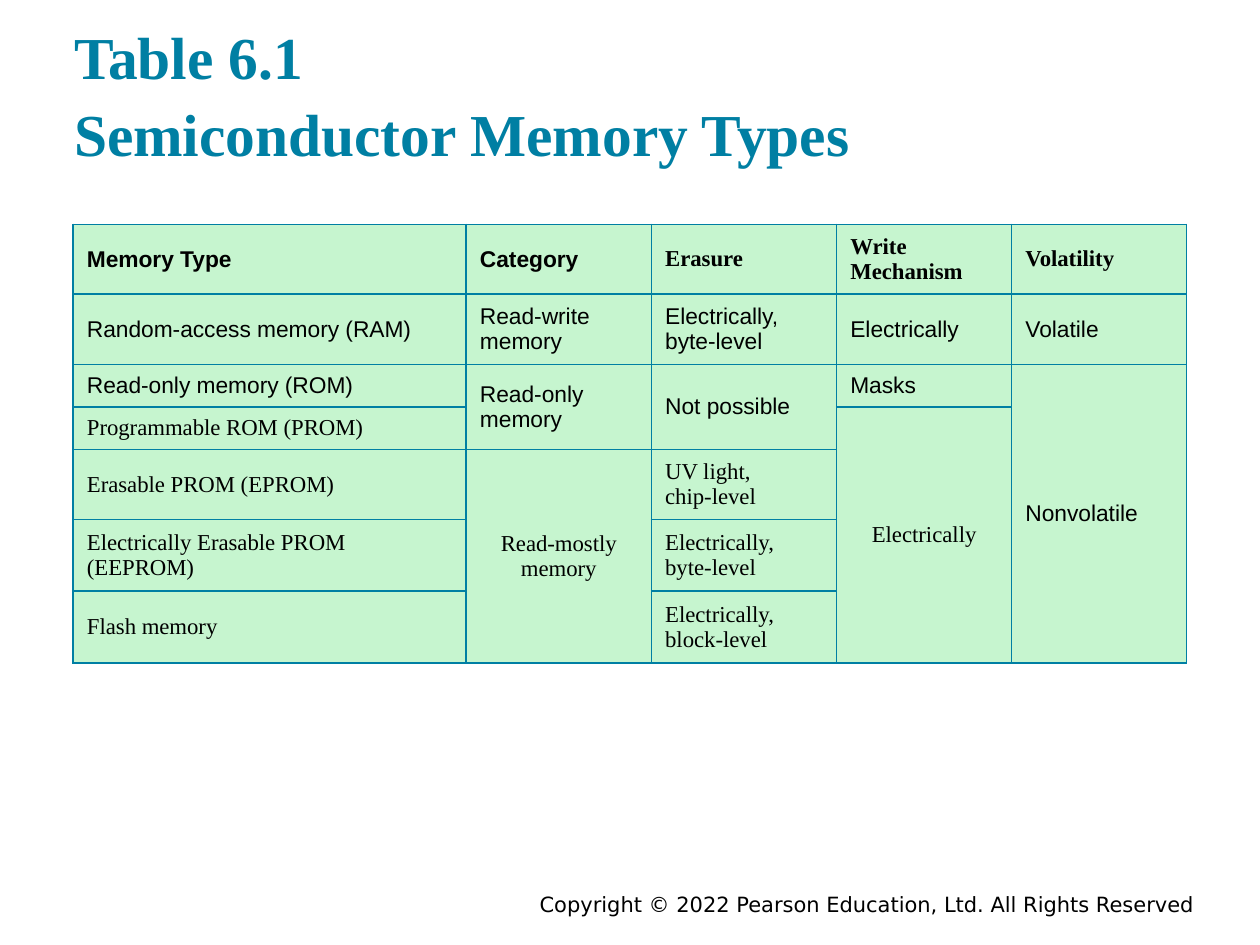
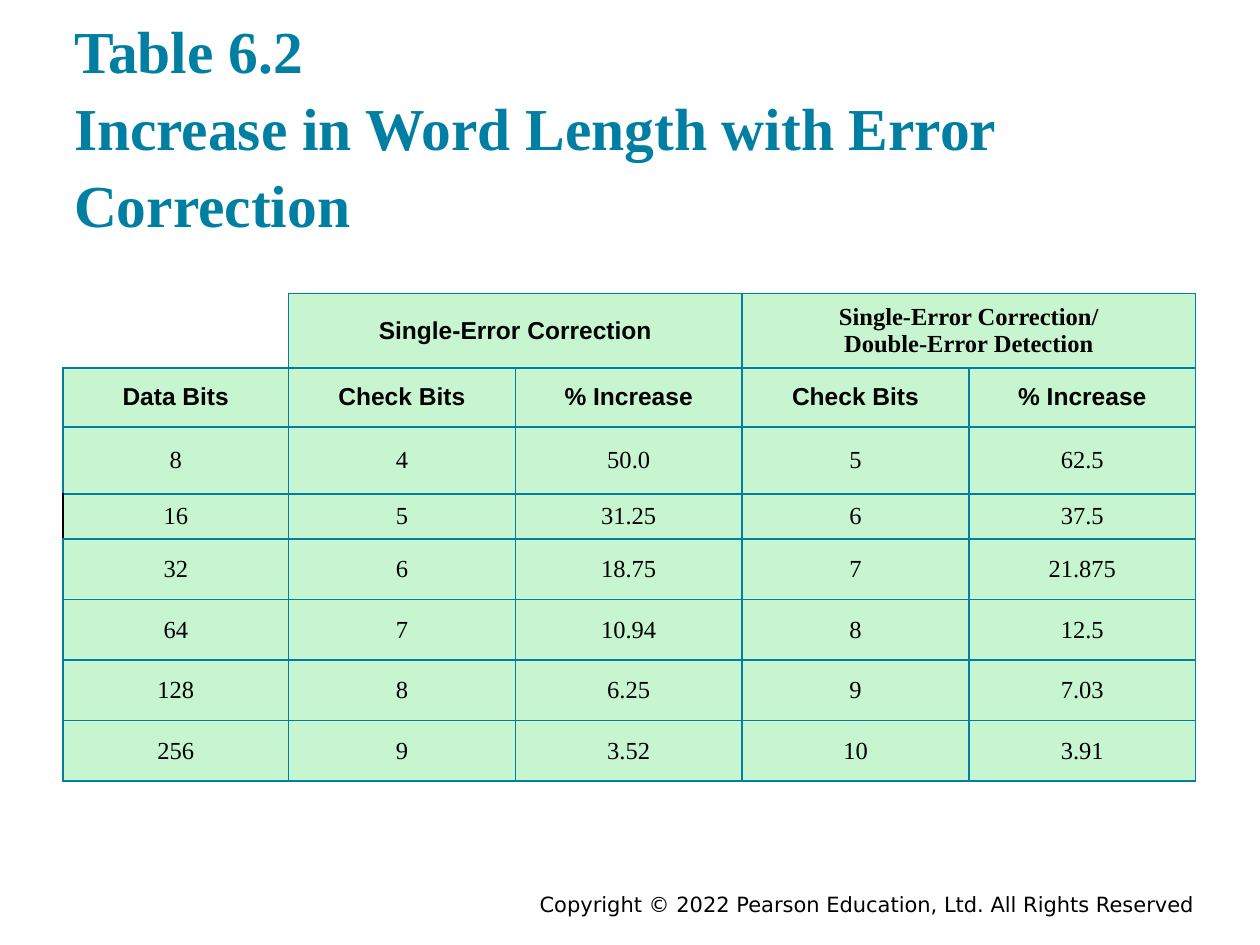
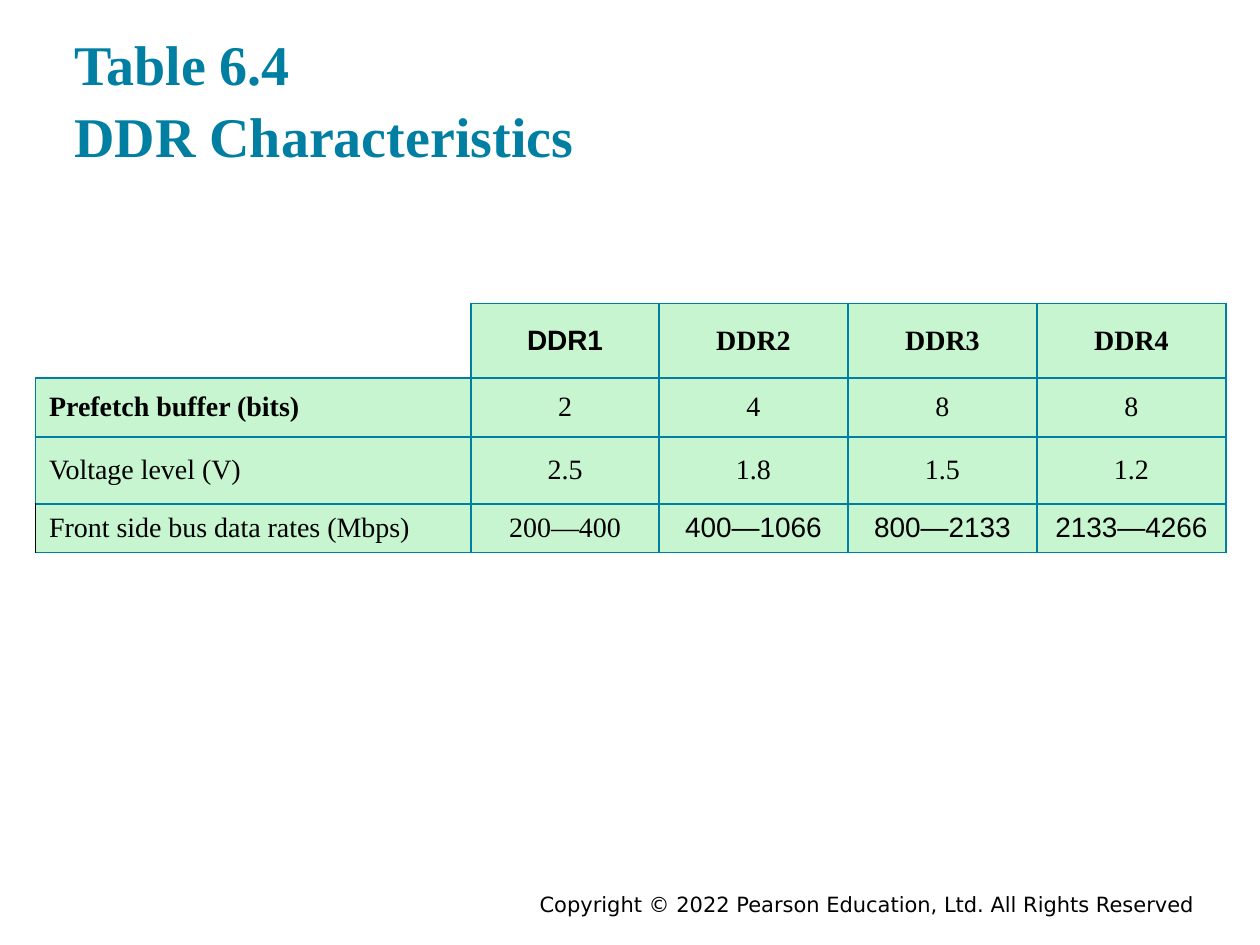
from lxml.etree import SubElement
from pptx import Presentation
from pptx.dml.color import RGBColor
from pptx.enum.text import MSO_ANCHOR, PP_ALIGN
from pptx.oxml.ns import qn
from pptx.util import Inches, Pt

TEAL, GREEN, BLACK = "007FA3", "C6F5CF", "000000"
SERIF, SANS, FOOTER_FONT = "Times New Roman", "Arial", "DejaVu Sans"
COPYRIGHT = "Copyright © 2022 Pearson Education, Ltd. All Rights Reserved"

MEMORY_TYPES = [
    ["Memory Type", "Category", "Erasure", "Write\nMechanism", "Volatility"],
    ["Random-access memory (RAM)", "Read-write\nmemory", "Electrically,\nbyte-level",
     "Electrically", "Volatile"],
    ["Read-only memory (ROM)", "Read-only\nmemory", "Not possible", "Masks", "Nonvolatile"],
    ["Programmable ROM (PROM)", None, None, "Electrically", None],
    ["Erasable PROM (EPROM)", "Read-mostly\nmemory", "UV light,\nchip-level", None, None],
    ["Electrically Erasable PROM\n(EEPROM)", None, "Electrically,\nbyte-level", None, None],
    ["Flash memory", None, "Electrically,\nblock-level", None, None],
]
WORD_LENGTHS = [
    ["", "Single-Error Correction", None,
     "Single-Error Correction/\nDouble-Error Detection", None],
    ["Data Bits", "Check Bits", "% Increase", "Check Bits", "% Increase"],
    ["8", "4", "50.0", "5", "62.5"],
    ["16", "5", "31.25", "6", "37.5"],
    ["32", "6", "18.75", "7", "21.875"],
    ["64", "7", "10.94", "8", "12.5"],
    ["128", "8", "6.25", "9", "7.03"],
    ["256", "9", "3.52", "10", "3.91"],
]
DDR = [
    ["", "DDR1", "DDR2", "DDR3", "DDR4"],
    ["Prefetch buffer (bits)", "2", "4", "8", "8"],
    ["Voltage level (V)", "2.5", "1.8", "1.5", "1.2"],
    ["Front side bus data rates (Mbps)", "200—400", "400—1066", "800—2133", "2133—4266"],
]


def rgb(value):
    """Turn a hex string into a colour."""
    return RGBColor.from_string(value)


def style(p, name, size, color, bold=False, align=PP_ALIGN.LEFT):
    """Set the font and alignment of a paragraph."""
    p.alignment = align
    p.font.name, p.font.size, p.font.bold = name, Pt(size), bold
    p.font.color.rgb = rgb(color)


def add_text(s, box, text, margins, anchor):
    """Add a wrapped text box and return its paragraph."""
    tf = s.shapes.add_textbox(*map(Inches, box)).text_frame
    tf.word_wrap = True
    tf.vertical_anchor = anchor
    tf.margin_left = tf.margin_right = Inches(margins[0])
    tf.margin_top = tf.margin_bottom = Inches(margins[1])
    p = tf.paragraphs[0]
    p.text = text
    return p


def add_slide(prs, title, width=9, height=1.22, size=34):
    """Add a slide with its copyright footer and title."""
    s = prs.slides.add_slide(prs.slide_layouts[6])
    p = add_text(s, (1.75, 7.03, 7.83, 0.22), COPYRIGHT, (0.1, 0.05), MSO_ANCHOR.TOP)
    style(p, FOOTER_FONT, 12, BLACK, align=PP_ALIGN.RIGHT)
    p = add_text(s, (0.49, 0.22, width, height), title, (0.1, 0.1), MSO_ANCHOR.BOTTOM)
    p.line_spacing = 1.08
    style(p, SERIF, size, TEAL, bold=True)
    return s


def add_borders(cell, left=TEAL, right=TEAL, top=TEAL, bottom=TEAL):
    """Draw the four borders of a cell, leaving out those without a colour."""
    tcPr = cell._tc.get_or_add_tcPr()
    for side, color in zip("LRTB", (left, right, top, bottom)):
        ln = SubElement(tcPr, qn(f"a:ln{side}"), w=str(Pt(1)))
        if color:
            fill = SubElement(ln, qn("a:solidFill"))
            SubElement(fill, qn("a:srgbClr"), val=color)
        else:
            SubElement(ln, qn("a:noFill"))


def fill_cell(cell, text, size, name, bold, align):
    """Fill a cell and write its lines as paragraphs."""
    cell.fill.solid()
    cell.fill.fore_color.rgb = rgb(GREEN)
    cell.vertical_anchor = MSO_ANCHOR.MIDDLE
    cell.margin_left = cell.margin_right = Inches(0.11)
    cell.margin_top = cell.margin_bottom = Inches(0.06)
    cell.text_frame.text = text
    for p in cell.text_frame.paragraphs:
        style(p, name, size, BLACK, bold, align)


def add_grid(s, left, top, cols, heights, data, size, sans, bold, centred, spans=(), dark=None):
    """Add a table; sans, bold and centred tell which (row, column) cells are so."""
    table = s.shapes.add_table(len(data), len(cols), Inches(left), Inches(top),
                               Inches(sum(cols)), Inches(sum(heights))).table
    table.first_row = table.horz_banding = False
    for col, width in zip(table.columns, cols):
        col.width = Inches(width)
    for row, height in zip(table.rows, heights):
        row.height = Inches(height)
    for i, line in enumerate(data):
        for j, text in enumerate(line):
            cell = table.cell(i, j)
            if text == "":
                add_borders(cell, left=None, top=None)
                cell.fill.background()
                continue
            add_borders(cell, left=BLACK if (i, j) == dark else TEAL)
            fill_cell(cell, text or "", size, SANS if sans(i, j) else SERIF, bold(i, j),
                      PP_ALIGN.CENTER if centred(i, j) else PP_ALIGN.LEFT)
    for start, end in spans:
        table.cell(*start).merge(table.cell(*end))


def main():
    """Build the three table slides."""
    prs = Presentation()
    prs.slide_width, prs.slide_height = Inches(10), Inches(7.5)

    s = add_slide(prs, "Table 6.1\vSemiconductor Memory Types")
    add_grid(s, 0.58, 1.78, [3.12, 1.47, 1.47, 1.39, 1.39],
             [0.55, 0.56, 0.33, 0.33, 0.55, 0.57, 0.57], MEMORY_TYPES, 13,
             sans=lambda i, j: i in (1, 2) or i == 0 and j < 2,
             bold=lambda i, j: i == 0,
             centred=lambda i, j: (i, j) in ((3, 3), (4, 1)),
             spans=[((2, 1), (3, 1)), ((2, 2), (3, 2)), ((2, 4), (6, 4)),
                    ((3, 3), (6, 3)), ((4, 1), (6, 1))])

    s = add_slide(prs, "Table 6.2\vIncrease in Word Length with Error Correction", height=1.78)
    add_grid(s, 0.5, 2.33, [1.79] + [1.8] * 4, [0.59, 0.47, 0.53, 0.36] + [0.48] * 4,
             WORD_LENGTHS, 14,
             sans=lambda i, j: i == 1 or (i, j) == (0, 1),
             bold=lambda i, j: i < 2,
             centred=lambda i, j: True,
             spans=[((0, 1), (0, 2)), ((0, 3), (0, 4))], dark=(3, 0))

    s = add_slide(prs, "Table 6.4\vDDR Characteristics", width=9.31, size=32)
    add_grid(s, 0.28, 2.41, [3.46, 1.49] + [1.5] * 3, [0.59, 0.47, 0.53, 0.36], DDR, 16,
             sans=lambda i, j: (i, j) == (0, 1) or i == 3 and j > 1,
             bold=lambda i, j: i == 0 or (i, j) == (1, 0),
             centred=lambda i, j: j > 0, dark=(3, 0))

    prs.save("out.pptx")


if __name__ == "__main__":
    main()
